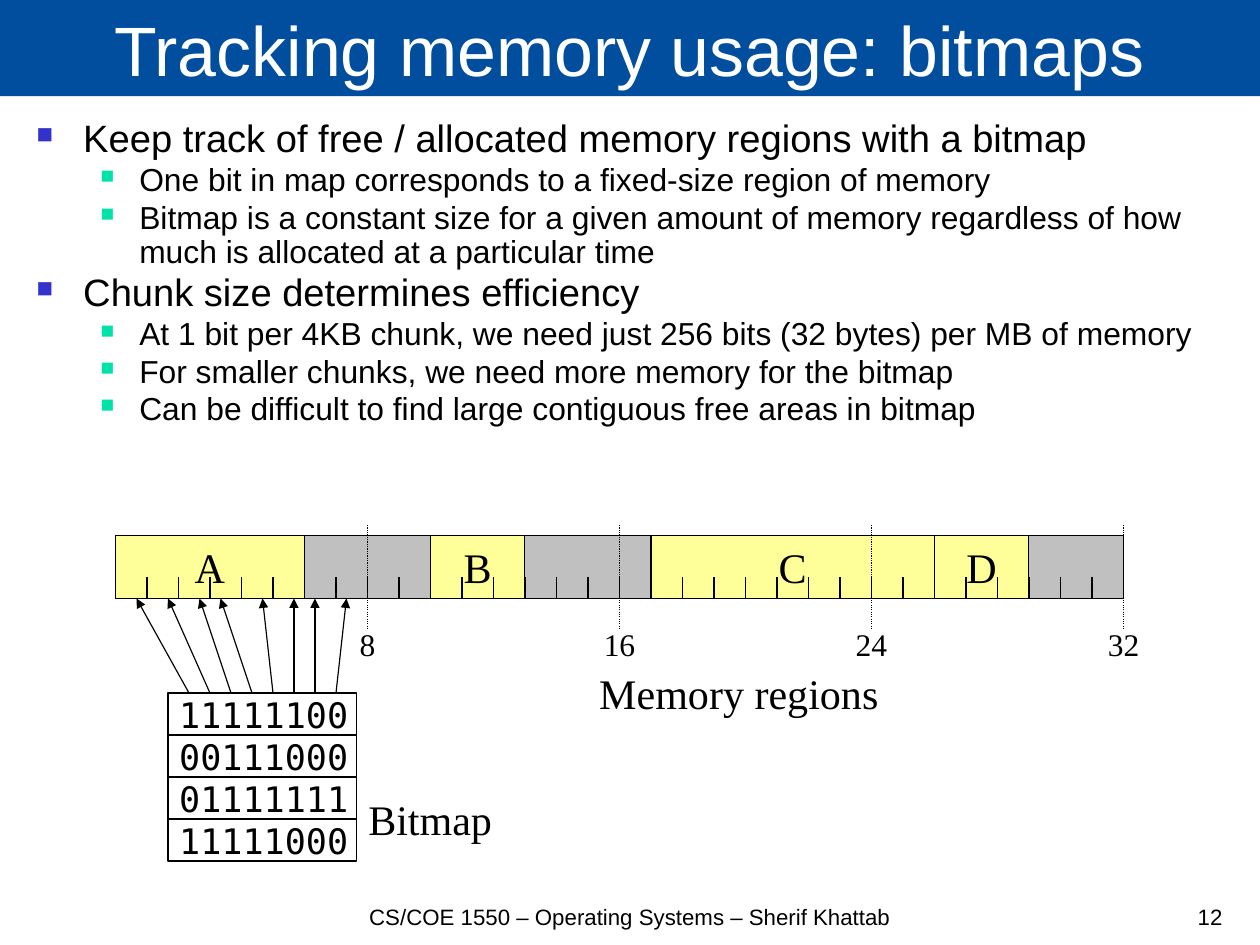
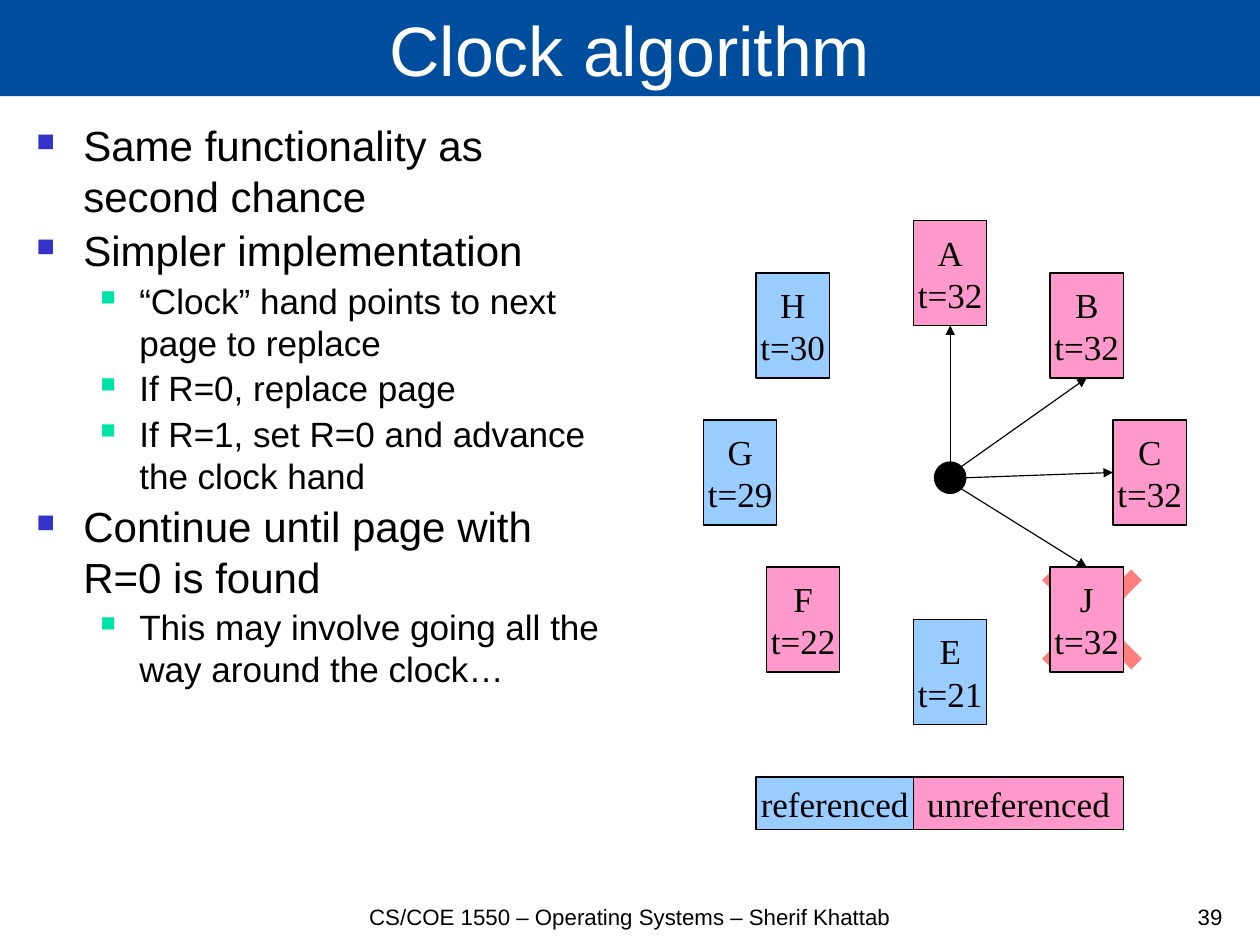
"""Builds two operating systems slides: memory bitmaps and the clock algorithm."""
from dataclasses import dataclass

from lxml.etree import SubElement
from pptx import Presentation
from pptx.dml.color import RGBColor
from pptx.enum.dml import MSO_LINE
from pptx.enum.shapes import MSO_CONNECTOR, MSO_SHAPE
from pptx.enum.text import MSO_ANCHOR, MSO_AUTO_SIZE, PP_ALIGN
from pptx.oxml.ns import qn
from pptx.util import Inches, Pt


@dataclass(frozen=True)
class Theme:
    band: str = "004E9D"
    white: str = "FFFFFF"
    black: str = "000000"
    bullets: tuple = ("3333CC", "00E3A8")
    free: str = "C0C0C0"
    allocated: str = "FFFF99"
    referenced: str = "99CCFF"
    unreferenced: str = "FF99CC"
    cross: str = "FF0000"
    sans: str = "Arial"
    serif: str = "Times New Roman"
    mono: str = "DejaVu Sans Mono"
    title_size: float = 44
    footer_size: float = 14
    label_size: float = 26.5
    number_size: float = 19.8
    page_size: float = 22.1
    line_width: float = 0.75


theme = Theme()
COLUMNS, ROWS = 120, 90
deck = Presentation()
deck.slide_width, deck.slide_height = Pt(793.75), Pt(595.25)
column, row = deck.slide_width / COLUMNS, deck.slide_height / ROWS


def write(slide, text, at, holder=None, preset=None, fill=None, outline=None, size=theme.label_size,
          font=theme.serif, color=theme.black, align=PP_ALIGN.CENTER, anchor=MSO_ANCHOR.MIDDLE, wrap=False):
    """Place text in a text box, a preset shape or a given placeholder."""
    left, top, width, height = at
    place = [round(left * column), round(top * row), round(width * column), round(height * row)]
    if holder is None:
        holder = slide.shapes.add_shape(preset, *place) if preset else slide.shapes.add_textbox(*place)
    holder.left, holder.top, holder.width, holder.height = place
    if preset:
        holder.shadow.inherit = False
    if fill:
        holder.fill.solid()
        holder.fill.fore_color.rgb = RGBColor.from_string(fill)
    if outline:
        holder.line.color.rgb = RGBColor.from_string(outline)
        holder.line.width = Pt(theme.line_width)
    else:
        holder.line.fill.background()
    frame = holder.text_frame
    frame.auto_size = MSO_AUTO_SIZE.NONE
    frame.word_wrap, frame.vertical_anchor = wrap, anchor
    paragraph = frame.paragraphs[0]
    paragraph.text, paragraph.alignment = text, align
    for run in paragraph.runs:
        run.font.size, run.font.name = Pt(size), font
        run.font.color.rgb = RGBColor.from_string(color)
    return holder


def connect(slide, start, end, arrow=False, dotted=False):
    """Draw a thin black line between two grid points."""
    (x1, y1), (x2, y2) = start, end
    link = slide.shapes.add_connector(MSO_CONNECTOR.STRAIGHT, round(x1 * column), round(y1 * row),
                                      round(x2 * column), round(y2 * row))
    link.line.color.rgb = RGBColor.from_string(theme.black)
    link.line.width = Pt(theme.line_width)
    if dotted:
        link.line.dash_style = MSO_LINE.ROUND_DOT
    properties = link.element.spPr
    if arrow:
        SubElement(properties.find(qn("a:ln")), qn("a:tailEnd"), type="triangle")
    SubElement(properties, qn("a:effectLst"))
    return link


topics = [
    ("Tracking memory usage: bitmaps", "12", 115.2, 0.9, (24, 20), [
        (0, "Keep track of free / allocated memory regions with a bitmap"),
        (1, "One bit in map corresponds to a fixed-size region of memory"),
        (1, "Bitmap is a constant size for a given amount of memory regardless of how much is "
            "allocated at a particular time"),
        (0, "Chunk size determines efficiency"),
        (1, "At 1 bit per 4KB chunk, we need just 256 bits (32 bytes) per MB of memory"),
        (1, "For smaller chunks, we need more memory for the bitmap"),
        (1, "Can be difficult to find large contiguous free areas in bitmap"),
    ]),
    ("Clock algorithm", "39", 57.6, 1.0, (26.5, 22.1), [
        (0, "Same functionality as second chance"),
        (0, "Simpler implementation"),
        (1, "“Clock” hand points to next page to replace"),
        (1, "If R=0, replace page"),
        (1, "If R=1, set R=0 and advance the clock hand"),
        (0, "Continue until page with R=0 is found"),
        (1, "This may involve going all the way around the clock…"),
    ]),
]
indents = [(0.41, -0.41), (0.9, -0.34)]

for title, number, body_width, spacing, sizes, points in topics:
    slide = deck.slides.add_slide(deck.slide_layouts[5])
    write(slide, title, (0, -0.1, COLUMNS, 9.25), holder=slide.shapes.title, fill=theme.band,
          size=theme.title_size, font=theme.sans, color=theme.white, anchor=MSO_ANCHOR.BOTTOM, wrap=True)
    body = write(slide, "", (2.4, 10.87, body_width, 73.2), anchor=MSO_ANCHOR.TOP, wrap=True).text_frame
    for index, (level, point) in enumerate(points):
        paragraph = body.add_paragraph() if index else body.paragraphs[0]
        paragraph.level, paragraph.alignment = level, PP_ALIGN.LEFT
        properties = paragraph._p.get_or_add_pPr()
        margin, hanging = indents[level]
        properties.set("marL", str(Inches(margin)))
        properties.set("indent", str(Inches(hanging)))
        SubElement(SubElement(properties, qn("a:buClr")), qn("a:srgbClr"), val=theme.bullets[level])
        SubElement(properties, qn("a:buSzPct"), val="60000")
        SubElement(properties, qn("a:buChar"), char="■")
        paragraph.line_spacing = spacing
        paragraph.space_before = Pt(sizes[level] * 0.1 if index else 0)
        run = paragraph.add_run()
        run.text = point
        run.font.size, run.font.name = Pt(sizes[level]), theme.sans
        run.font.color.rgb = RGBColor.from_string(theme.black)
    for text, at, align in [
        ("CS/COE 1550 – Operating Systems – Sherif Khattab", (24.5, 85.9, 71, 3.25), PP_ALIGN.CENTER),
        (number, (112.5, 85.9, 5, 3.25), PP_ALIGN.RIGHT),
    ]:
        write(slide, text, at, size=theme.footer_size, font=theme.sans, align=align,
              anchor=MSO_ANCHOR.BOTTOM, wrap=True)

bitmap_slide, clock_slide = deck.slides

memory_left, memory_top, memory_height = 11, 51, 6
region, region_count, byte = 3, 32, 8
memory_bottom = memory_top + memory_height
for name, first, count, fill in [
    ("", 0, region_count, theme.free), ("A", 0, 6, theme.allocated), ("B", 10, 3, theme.allocated),
    ("C", 17, 9, theme.allocated), ("D", 26, 3, theme.allocated),
]:
    write(bitmap_slide, name, (memory_left + first * region, memory_top, count * region, memory_height),
          preset=MSO_SHAPE.RECTANGLE, fill=fill, outline=theme.black)
for tick in range(1, region_count):
    x = memory_left + tick * region
    connect(bitmap_slide, (x, memory_bottom - 2), (x, memory_bottom))
for mark in range(byte, region_count + 1, byte):
    x = memory_left + mark * region
    connect(bitmap_slide, (x, memory_top - 1), (x, memory_bottom + 3), dotted=True)
    write(bitmap_slide, str(mark), (x - 2.6, 59, 5.2, 4.7), size=theme.number_size, anchor=MSO_ANCHOR.TOP)

bitmap_left, bitmap_top, bits_height = 16, 66, 4
for index, bits in enumerate(["11111100", "00111000", "01111111", "11111000"]):
    write(bitmap_slide, bits, (bitmap_left, bitmap_top + index * bits_height, 18, bits_height),
          preset=MSO_SHAPE.RECTANGLE, fill=theme.white, outline=theme.black,
          size=theme.page_size, font=theme.mono, align=PP_ALIGN.LEFT)
for bit, target in enumerate([13, 16, 19, 21, 25, 28, 30, 33]):
    connect(bitmap_slide, (bitmap_left + 2 + bit * 2, bitmap_top), (target, memory_bottom), arrow=True)
for caption, at in [("Memory regions", (56, 63, 29, 6)), ("Bitmap", (34, 75, 14, 6))]:
    write(bitmap_slide, caption, at, align=PP_ALIGN.LEFT, anchor=MSO_ANCHOR.TOP)

cross = write(clock_slide, "", (98, 53, 12, 12), preset=MSO_SHAPE.CROSS, fill=theme.cross)
cross.rotation, cross.adjustments[0] = 45, 0.44
SubElement(cross.element.spPr.find(".//" + qn("a:srgbClr")), qn("a:alpha"), val="50000")
write(clock_slide, "", (89, 44, 3, 3), preset=MSO_SHAPE.OVAL, fill=theme.black, outline=theme.black)

pages = {}
for name, time, x, y, fill in [
    ("E", 21, 87, 59, theme.referenced), ("F", 22, 73, 54, theme.unreferenced),
    ("G", 29, 67, 40, theme.referenced), ("H", 30, 72, 26, theme.referenced),
    ("A", 32, 87, 21, theme.unreferenced), ("B", 32, 100, 26, theme.unreferenced),
    ("C", 32, 106, 40, theme.unreferenced), ("J", 32, 100, 54, theme.unreferenced),
]:
    pages[name] = write(clock_slide, f"{name}\vt={time}", (x, y, 7, 10), preset=MSO_SHAPE.RECTANGLE,
                        fill=fill, outline=theme.black, size=theme.page_size)
for name, start, end, side in [
    ("A", (90.5, 44), (90.5, 31), 2), ("B", (91.56, 44.44), (103.5, 36), 2),
    ("C", (92, 45.5), (106, 45), 1), ("J", (91.56, 46.56), (103.5, 54), 0),
]:
    connect(clock_slide, start, end, arrow=True).end_connect(pages[name], side)
for key, x, width, fill in [
    ("referenced", 72, 15, theme.referenced), ("unreferenced", 87, 20, theme.unreferenced),
]:
    write(clock_slide, key, (x, 74, width, 5), preset=MSO_SHAPE.RECTANGLE, fill=fill,
          outline=theme.black, size=theme.page_size)

deck.save("out.pptx")
